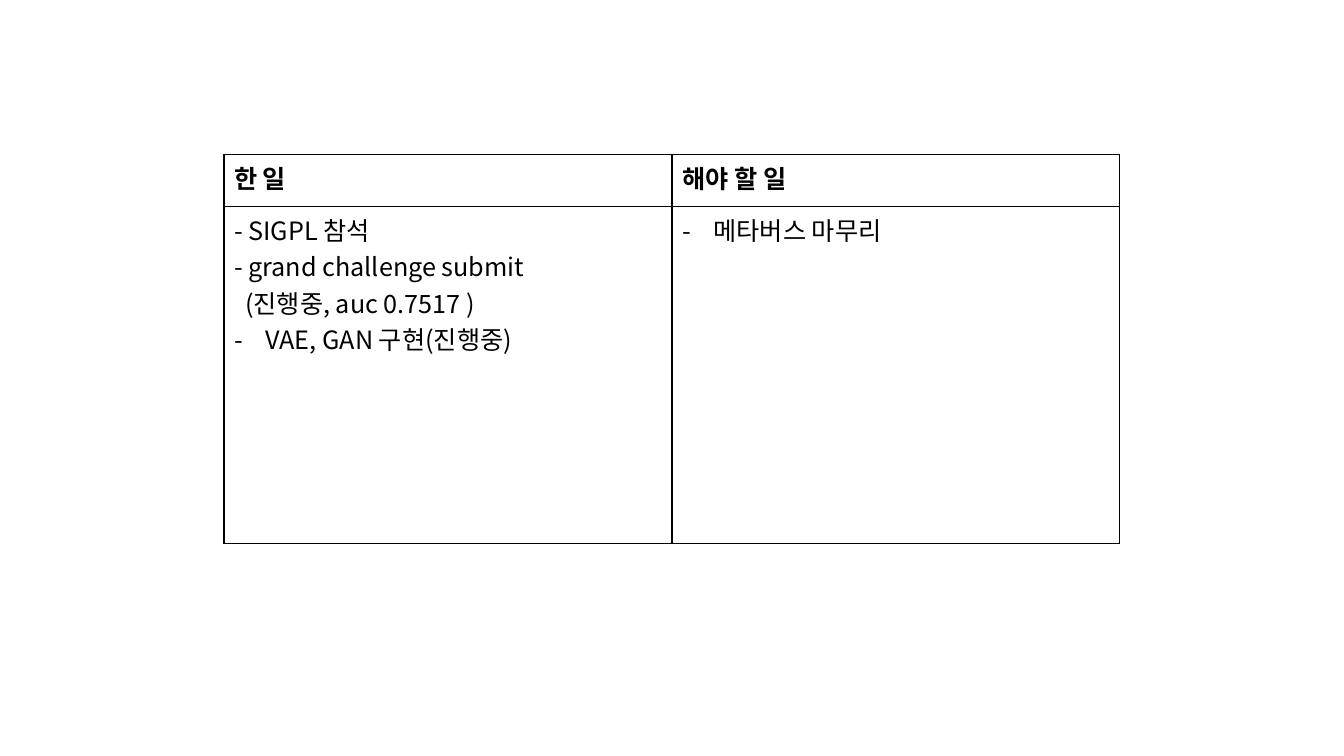
import pptx
import pptx.util
import pptx.dml.color
import pptx.oxml.ns
import lxml.etree

Pt = pptx.util.Pt
COLORS = {"ink": "000000", "paper": "FFFFFF"}
FONT = "Noto Sans CJK KR"
TEXT_SIZE = 18
BULLET_INDENT = 22.5
CONTINUATION_INDENT = 8

# Each entry: text, left margin, bullet
DONE = [
    ("- SIGPL 참석", 0, None),
    ("- grand challenge submit", 0, None),
    ("(진행중, auc 0.7517 )", CONTINUATION_INDENT, None),
    ("VAE, GAN 구현(진행중)", BULLET_INDENT, "-"),
]
TO_DO = [("메타버스 마무리", BULLET_INDENT, "-")]
ROWS = [
    [[("한 일", 0, None)], [("해야 할 일", 0, None)]],
    [DONE, TO_DO],
]


def add_xml(parent, tag, **attributes):
    values = {key: str(value) for key, value in attributes.items()}
    return lxml.etree.SubElement(parent, pptx.oxml.ns.qn(tag), values)


class SlideBuilder:
    def __init__(self, slide):
        self.slide = slide

    def color(self, name):
        return pptx.dml.color.RGBColor.from_string(COLORS[name])

    def paragraph(self, paragraph, text, margin, bullet, bold):
        run = paragraph.add_run()
        run.text = text
        font = run.font
        font.size, font.bold = Pt(TEXT_SIZE), bold
        font.color.rgb = self.color("ink")
        font.name = FONT
        add_xml(font._element, "a:ea", typeface=FONT)
        properties = paragraph._p.get_or_add_pPr()
        if margin:
            properties.set("marL", str(Pt(margin)))
        if bullet:
            properties.set("indent", str(-Pt(margin)))
            add_xml(properties, "a:buFont", typeface=FONT)
            add_xml(properties, "a:buChar", char=bullet)

    def borders(self, cell):
        properties = cell._tc.get_or_add_tcPr()
        for side in ("L", "R", "T", "B"):
            line = add_xml(properties, f"a:ln{side}", w=Pt(1))
            fill = add_xml(line, "a:solidFill")
            add_xml(fill, "a:srgbClr", val=COLORS["ink"])

    def table(self, left, top, widths, heights, rows):
        frame = self.slide.shapes.add_table(
            len(heights), len(widths), Pt(left), Pt(top),
            Pt(sum(widths)), Pt(sum(heights)))
        table = frame.table
        table.first_row = table.horz_banding = False
        for column, width in zip(table.columns, widths):
            column.width = Pt(width)
        for row, height in zip(table.rows, heights):
            row.height = Pt(height)
        for r, row in enumerate(rows):
            for c, entries in enumerate(row):
                cell = table.cell(r, c)
                self.borders(cell)
                cell.fill.solid()
                cell.fill.fore_color.rgb = self.color("paper")
                text = cell.text_frame
                for i, entry in enumerate(entries):
                    paragraph = text.add_paragraph() if i else text.paragraphs[0]
                    self.paragraph(paragraph, *entry, bold=r == 0)


def main():
    presentation = pptx.Presentation()
    presentation.slide_width, presentation.slide_height = Pt(960), Pt(540)
    blank = presentation.slide_layouts[6]
    builder = SlideBuilder(presentation.slides.add_slide(blank))

    # Work done and work to do, side by side
    builder.table(160, 110.3, [320, 320], [37, 240.7], ROWS)

    presentation.save("out.pptx")


if __name__ == "__main__":
    main()
